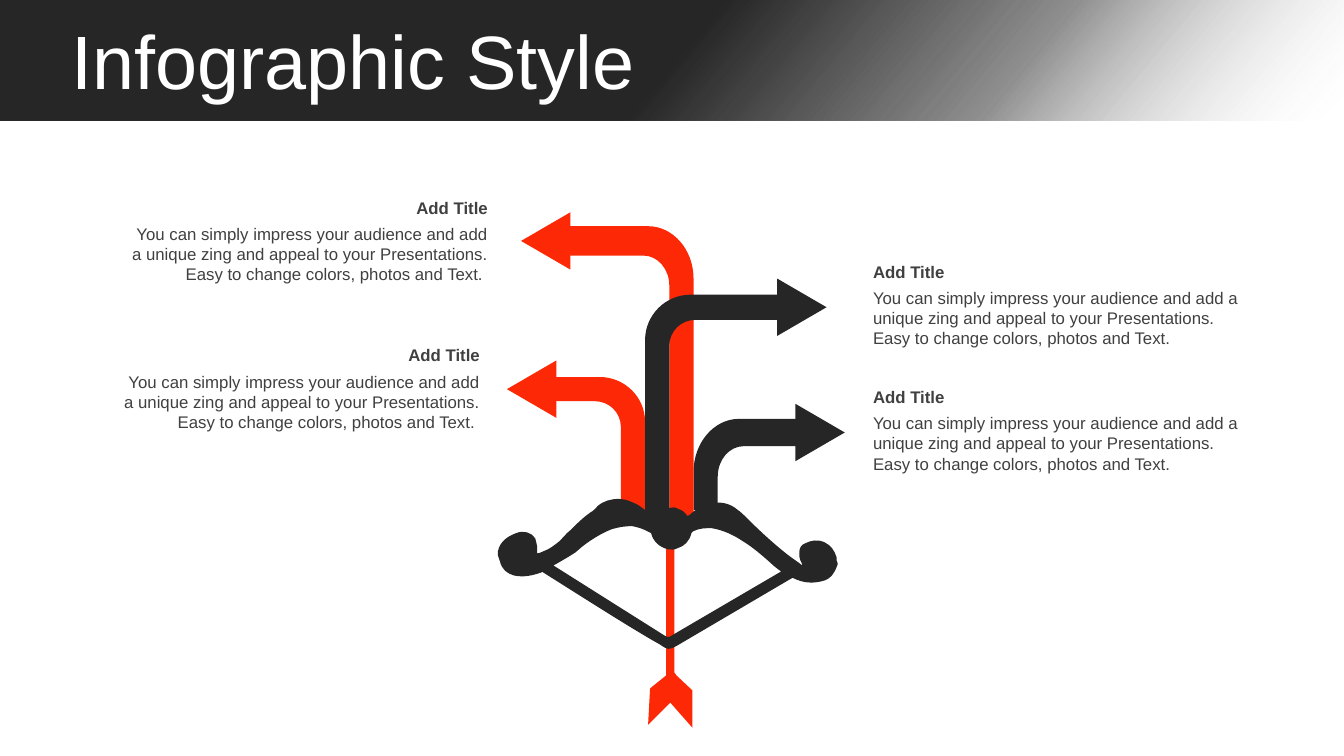
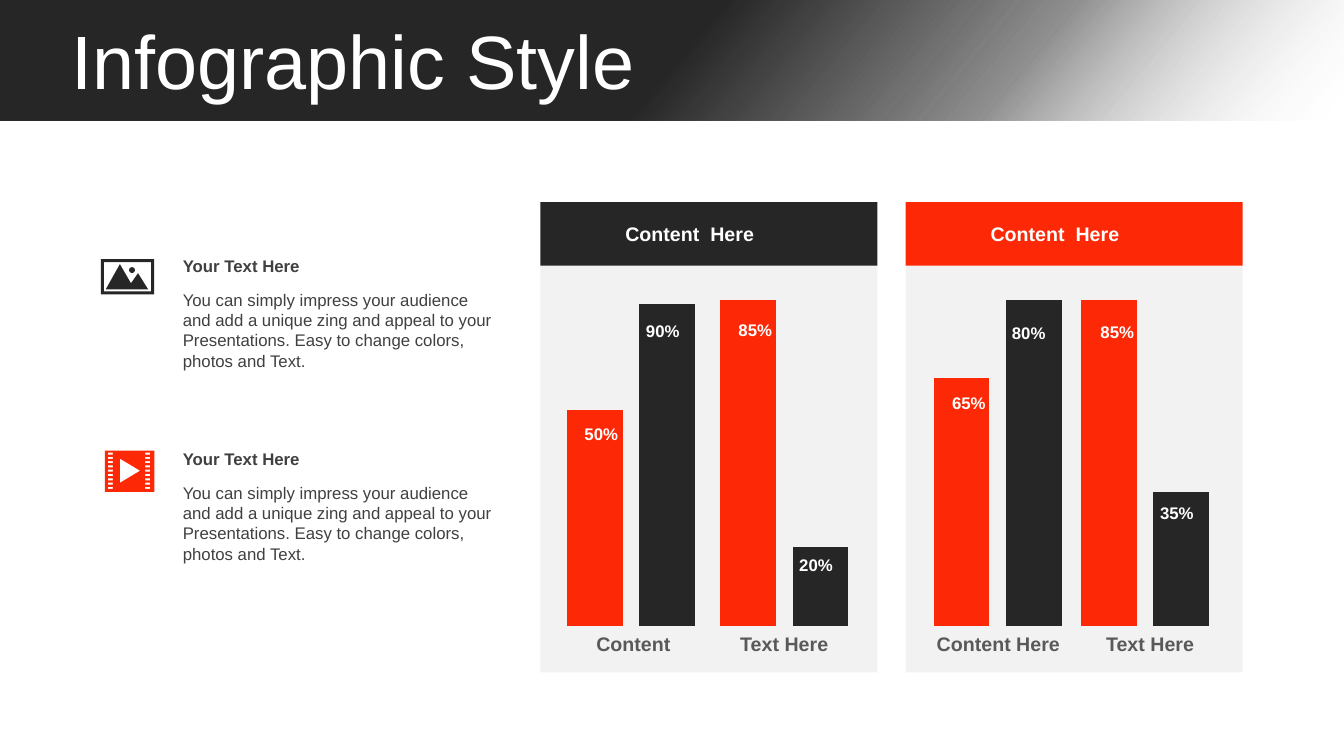
from lxml import etree
from pptx import Presentation
from pptx.chart.data import CategoryChartData
from pptx.dml.color import RGBColor
from pptx.enum.chart import XL_CHART_TYPE
from pptx.enum.shapes import MSO_SHAPE
from pptx.enum.text import MSO_ANCHOR, MSO_AUTO_SIZE, PP_ALIGN
from pptx.oxml import parse_xml
from pptx.oxml.ns import nsdecls, qn
from pptx.util import Pt

RECTANGLE, TRIANGLE = MSO_SHAPE.RECTANGLE, MSO_SHAPE.ISOSCELES_TRIANGLE
COLUMN_STACKED = XL_CHART_TYPE.COLUMN_STACKED
LEFT, CENTER, RIGHT = PP_ALIGN.LEFT, PP_ALIGN.CENTER, PP_ALIGN.RIGHT
TOP, MIDDLE = MSO_ANCHOR.TOP, MSO_ANCHOR.MIDDLE
FIXED, GROW = MSO_AUTO_SIZE.NONE, MSO_AUTO_SIZE.SHAPE_TO_FIT_TEXT

FONT = "Arial"
BLACK = RGBColor(0x00, 0x00, 0x00)
DARK = RGBColor(0x26, 0x26, 0x26)
RED = RGBColor(0xFD, 0x29, 0x06)
WHITE = RGBColor(0xFF, 0xFF, 0xFF)
TEXT = RGBColor(0x40, 0x40, 0x40)
LABEL = RGBColor(0x59, 0x59, 0x59)
PANEL = RGBColor(0xF2, 0xF2, 0xF2)

BODY = ("You can simply impress your audience and add a unique zing and appeal "
        "to your Presentations. Easy to change colors, photos and Text.")
GRID = 0.72  # points per unit of the bow and icon outlines


def write_text(shape, text, size=12, color=TEXT, bold=False, align=LEFT,
               anchor=TOP, auto_size=GROW, line_spacing=1.0):
    frame = shape.text_frame
    frame.word_wrap = True
    frame.auto_size = auto_size
    frame.vertical_anchor = anchor
    paragraph = frame.paragraphs[0]
    paragraph.alignment = align
    paragraph.line_spacing = line_spacing
    run = paragraph.add_run()
    run.text = text
    run.font.name = FONT
    run.font.size = Pt(size)
    run.font.bold = bold
    run.font.color.rgb = color


def paint(shape, color):
    """Give the shape a flat fill without line or shadow."""
    shape.shadow.inherit = False
    shape.fill.solid()
    shape.fill.fore_color.rgb = color
    shape.line.fill.background()


presentation = Presentation()
presentation.slide_width = Pt(960)
presentation.slide_height = Pt(540)

# Shared layout: title place and gradient band
layout = presentation.slide_layouts[5]
layout_title = layout.placeholders[0]
layout_title.left, layout_title.top = Pt(44), Pt(18)
layout_title.width, layout_title.height = Pt(893), Pt(57)

slides = []
for _ in range(2):
    slide = presentation.slides.add_slide(layout)
    write_text(slide.shapes.title, "Infographic Style", size=54, color=WHITE,
               anchor=MIDDLE, auto_size=FIXED, line_spacing=0.9)
    slides.append(slide)
bow_slide, chart_slide = slides

band = bow_slide.shapes.add_shape(RECTANGLE, 0, 0, Pt(960), Pt(86.4))
paint(band, DARK)
solid_fill = band.element.spPr.find(qn("a:solidFill"))
solid_fill.addprevious(parse_xml(
    f'<a:gradFill {nsdecls("a")} rotWithShape="1"><a:gsLst>'
    f'<a:gs pos="0"><a:srgbClr val="{WHITE}"><a:alpha val="0"/></a:srgbClr></a:gs>'
    f'<a:gs pos="25000"><a:srgbClr val="{DARK}"><a:alpha val="50000"/></a:srgbClr></a:gs>'
    f'<a:gs pos="50000"><a:srgbClr val="{DARK}"/></a:gs>'
    f'<a:gs pos="100000"><a:srgbClr val="{DARK}"/></a:gs>'
    '</a:gsLst><a:lin ang="13200000" scaled="0"/></a:gradFill>'))
solid_fill.getparent().remove(solid_fill)
layout.shapes.element.insert(2, band.element)

# Outlines are (slide, color, unit, contours). A contour lists its start, then
# lines (x, y) and curves (x1, y1, x2, y2, x, y).
outlines = []

# Bent arrows: color, direction, outer stem x, bar top, bar bottom, foot,
# head base x, outer corner height
STEM, CORNER_WIDTH, INNER_RATIO = 17.3, 32.4, 0.57
HEAD_WIDTH, HEAD_LENGTH = 41, 35.3
ROUND = 0.45  # distance of a curve handle from the corner, as a share of the radius
bent_arrows = [
    (DARK, 1, 495.4, 299.2, 318.7, 364.3, 568.1, 38),
    (RED, -1, 460.8, 269.3, 286.6, 368.6, 397.4, 32),
    (RED, -1, 495.4, 161.6, 182.6, 373, 407.5, 37.4),
    (DARK, 1, 460.8, 210.5, 228.5, 373.7, 555.1, 32.4),
]
for color, direction, outer, top, bottom, foot, base, corner_height in bent_arrows:
    inner = outer + direction * STEM
    bar_end = base + direction * 4
    width, height = direction * CORNER_WIDTH, corner_height
    inner_width, inner_height = width * INNER_RATIO, height * INNER_RATIO
    outlines.append((bow_slide, color, 1, [[
        (bar_end, top), (outer + width, top),
        (outer + width * ROUND, top, outer, top + height * ROUND, outer, top + height),
        (outer, foot), (inner, foot), (inner, bottom + inner_height),
        (inner, bottom + inner_height * ROUND, inner + inner_width * ROUND, bottom,
         inner + inner_width, bottom),
        (bar_end, bottom)]]))
    head = bow_slide.shapes.add_shape(
        TRIANGLE, Pt(base + direction * HEAD_LENGTH / 2 - HEAD_WIDTH / 2),
        Pt((top + bottom - HEAD_LENGTH) / 2), Pt(HEAD_WIDTH), Pt(HEAD_LENGTH))
    head.rotation = direction * 90
    paint(head, color)

bow_arrow = [(661, 519), (669, 519), (669, 667), (671, 670), (687, 685),
             (687, 722), (665, 697), (643, 719), (645, 683), (661, 670)]
bow_inside = [
    (549, 561), (660, 631), (664, 633, 664, 632, 669, 629), (775, 567),
    (771, 564, 768, 562, 764, 558), (756, 551, 747, 543, 737, 537),
    (728, 531, 718, 526, 706, 524), (700, 524, 694, 524, 688, 527),
    (687, 528, 686, 528, 686, 529), (684, 537, 679, 542, 672, 544),
    (668, 546, 667, 545, 663, 545), (654, 543, 648, 537, 646, 529),
    (645, 529, 645, 528, 644, 528), (639, 525, 633, 523, 627, 522),
    (620, 522, 614, 523, 607, 525), (597, 529, 587, 535, 578, 542),
    (576, 544, 573, 546, 571, 548), (565, 552, 558, 556, 551, 560)]
bow_outside = [
    (494, 551), (494, 547), (496, 537, 504, 532, 512, 529),
    (519, 526, 527, 528, 531, 534), (532, 538, 533, 541, 533, 545), (533, 549),
    (535, 549, 537, 548, 539, 547), (545, 545, 550, 541, 555, 537),
    (559, 533, 562, 529, 566, 526), (573, 519, 580, 512, 588, 507),
    (590, 506, 591, 504, 593, 502), (599, 497, 606, 495, 614, 495),
    (621, 495, 627, 498, 633, 501), (639, 505, 644, 509, 649, 514),
    (652, 508, 657, 505, 664, 504), (667, 503, 670, 503, 673, 505),
    (677, 506, 680, 509, 682, 512), (684, 511),
    (689, 506, 696, 502, 703, 500), (714, 497, 724, 499, 732, 506),
    (735, 508, 738, 511, 741, 514), (753, 526, 767, 539, 781, 550),
    (786, 554, 791, 557, 796, 561), (796, 559, 795, 558, 794, 556),
    (793, 554, 793, 551, 793, 548), (793, 544, 795, 540, 799, 539),
    (805, 536, 811, 535, 818, 538), (824, 541, 828, 546, 830, 553),
    (830, 556), (831, 558, 831, 559, 831, 560),
    (830, 563, 829, 565, 828, 567), (825, 573, 820, 576, 814, 577),
    (805, 579, 796, 578, 788, 574), (787, 573, 786, 573, 785, 574), (671, 641),
    (663, 645, 663, 645, 654, 639), (632, 627, 577, 592, 539, 568),
    (538, 567, 538, 567, 537, 568), (528, 571, 520, 573, 510, 571),
    (503, 569, 498, 565, 496, 557), (495, 555, 495, 553, 494, 551)]
outlines.append((bow_slide, RED, GRID, [bow_arrow]))
outlines.append((bow_slide, DARK, GRID, [bow_inside, bow_outside]))

film_icon = [[(104, 447), (153, 447), (153, 488), (104, 488)],
             [(119, 455), (119, 479), (139, 467)]]
for row in range(9):
    hole_top = 449 + 4.25 * row
    for hole_left in (107, 144):
        film_icon.append([(hole_left, hole_top), (hole_left, hole_top + 2),
                          (hole_left + 5, hole_top + 2), (hole_left + 5, hole_top)])
photo_icon = [
    [(100, 257), (153, 257), (153, 292), (100, 292)],
    [(103, 260), (103, 289), (150, 289), (150, 260)],
    [(119, 262), (130, 281), (137, 271), (147, 287), (105, 287)],
    [(131, 265), (133, 265, 134, 266, 134, 268), (134, 269, 133, 271, 131, 271),
     (129, 271, 128, 269, 128, 268), (128, 266, 129, 265, 131, 265)]]
outlines.append((chart_slide, RED, GRID, film_icon))
outlines.append((chart_slide, DARK, GRID, photo_icon))

for slide, color, unit, contours in outlines:
    builder = None
    segment_sizes = []
    for contour in contours:
        points = [(Pt(segment[i] * unit), Pt(segment[i + 1] * unit))
                  for segment in contour for i in range(0, len(segment), 2)]
        if builder is None:
            builder = slide.shapes.build_freeform(*points[0])
        else:
            builder.move_to(*points[0])
        builder.add_line_segments(points[1:], close=True)
        segment_sizes += [len(segment) // 2 for segment in contour[1:]]
    shape = builder.convert_to_shape()
    paint(shape, color)

    # Join the three lines through each pair of handles into one curve
    lines = iter(list(shape.element.iter(qn("a:lnTo"))))
    for size in segment_sizes:
        group = [next(lines) for _ in range(size)]
        if size == 3:
            curve = etree.Element(qn("a:cubicBezTo"))
            group[0].addprevious(curve)
            for line in group:
                curve.append(line[0])
                line.getparent().remove(line)

# Headed texts: slide, heading, left, top, width, body offset, body height, alignment
headed_texts = [
    (bow_slide, "Add Title", 616.5, 183.4, 278, 18.6, 51, LEFT),
    (bow_slide, "Add Title", 616.5, 272.8, 278, 18.6, 51, LEFT),
    (bow_slide, "Add Title", 80.6, 137.5, 275, 18.7, 51, RIGHT),
    (bow_slide, "Add Title", 74.9, 242.8, 275, 18.8, 51, RIGHT),
    (chart_slide, "Your Text Here", 123.5, 179.3, 240.5, 24.2, 65.5, LEFT),
    (chart_slide, "Your Text Here", 123.5, 317.1, 240.5, 24.2, 65.5, LEFT),
]
for slide, heading, left, top, width, offset, height, align in headed_texts:
    body = BODY + " " if align == RIGHT else BODY
    for text, y, box_height, bold in ((heading, top, 21.8, True),
                                      (body, top + offset, height, False)):
        box = slide.shapes.add_textbox(Pt(left), Pt(y), Pt(width), Pt(box_height))
        write_text(box, text, bold=bold, align=align)

# Chart panels: left, header color, then per chart its left, label, label left,
# values, axis maximum and percentages (text, left, top)
PANEL_WIDTH = 240.8
panels = [
    (385.9, DARK, [
        (396.7, "Content", 398.5, (67, 100), 101,
         [("50%", 406.8, 299.1), ("90%", 450.7, 225.4)]),
        (506.2, "Text Here", 506.2, (100, 24), 100,
         [("85%", 516.8, 224.6), ("20%", 560.2, 392.8)])]),
    (646.8, RED, [
        (658.8, "Content Here", 659.2, (76, 100), 100,
         [("65%", 669.4, 277.2), ("80%", 712.1, 226.8)]),
        (763.9, "Text Here", 767.5, (100, 41), 100,
         [("85%", 775.4, 226.1), ("35%", 817.9, 355.3)])]),
]
shapes = chart_slide.shapes
for panel_left, header_color, charts in panels:
    panel = shapes.add_shape(RECTANGLE, *map(Pt, (panel_left, 189.4, PANEL_WIDTH, 290.8)))
    paint(panel, PANEL)
    header = shapes.add_shape(RECTANGLE, *map(Pt, (panel_left, 144.4, PANEL_WIDTH, 45.4)))
    paint(header, header_color)
    box = shapes.add_textbox(*map(Pt, (panel_left + 11.3, 155.3, 191, 24.5)))
    write_text(box, "Content  Here", size=14, color=WHITE, bold=True, align=CENTER)

    for chart_left, label, label_left, values, maximum, percentages in charts:
        chart_data = CategoryChartData()
        chart_data.categories = ["1", "2"]
        chart_data.add_series("Series 1", values)
        chart = shapes.add_chart(COLUMN_STACKED, *map(Pt, (chart_left, 195.8, 108, 257)),
                                 chart_data).chart
        chart.has_title = False
        chart.has_legend = False
        chart.font.name = FONT
        chart.font.size = Pt(18)
        chart.font.color.rgb = BLACK
        chart.category_axis.visible = False
        chart.value_axis.visible = False
        chart.value_axis.has_major_gridlines = False
        chart.value_axis.minimum_scale = 0
        chart.value_axis.maximum_scale = maximum
        plot = chart.plots[0]
        plot.gap_width = 30
        plot.overlap = 100
        plot.vary_by_categories = False
        for index, color in enumerate((RED, DARK)):
            bar_fill = plot.series[0].points[index].format.fill
            bar_fill.solid()
            bar_fill.fore_color.rgb = color

        plot_area = chart.element.find(".//" + qn("c:plotArea"))
        for old_layout in plot_area.findall(qn("c:layout")):
            plot_area.remove(old_layout)
        plot_area.insert(0, parse_xml(
            f'<c:layout {nsdecls("c")}><c:manualLayout><c:layoutTarget val="inner"/>'
            '<c:xMode val="edge"/><c:yMode val="edge"/><c:x val="0.02"/>'
            '<c:y val="0.073"/><c:w val="0.96"/><c:h val="0.904"/>'
            '</c:manualLayout></c:layout>'))
        chart.element.find(qn("c:chart")).addnext(parse_xml(
            f'<c:spPr {nsdecls("c", "a")}><a:noFill/><a:ln><a:noFill/></a:ln></c:spPr>'))

        box = shapes.add_textbox(*map(Pt, (label_left, 447.5, 108, 24.5)))
        write_text(box, label, size=14, color=LABEL, bold=True, align=CENTER, anchor=MIDDLE)
        for percentage, left, top in percentages:
            box = shapes.add_textbox(*map(Pt, (left, top, 45.4, 21.8)))
            write_text(box, percentage, color=WHITE, bold=True, align=CENTER)

presentation.save("out.pptx")
